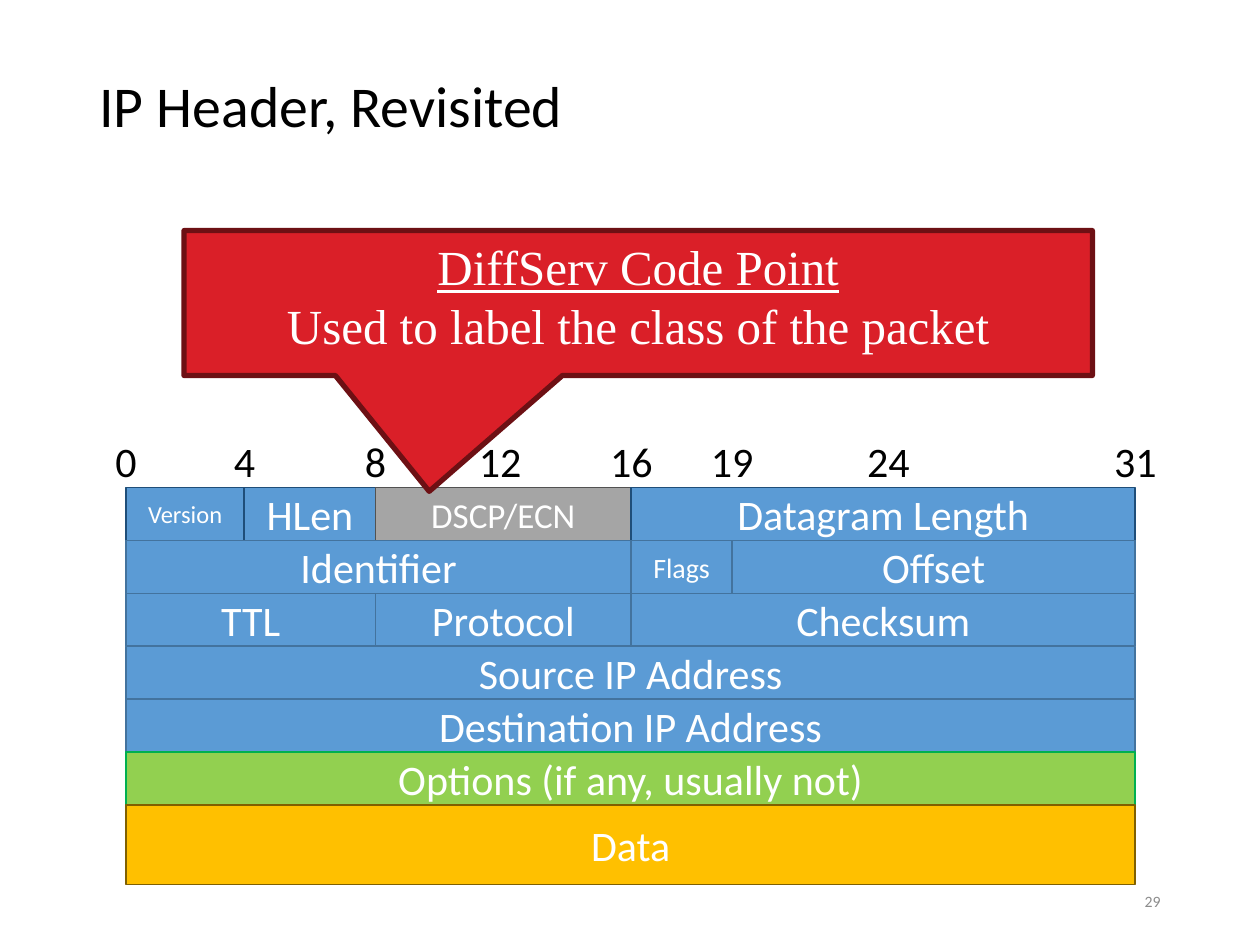
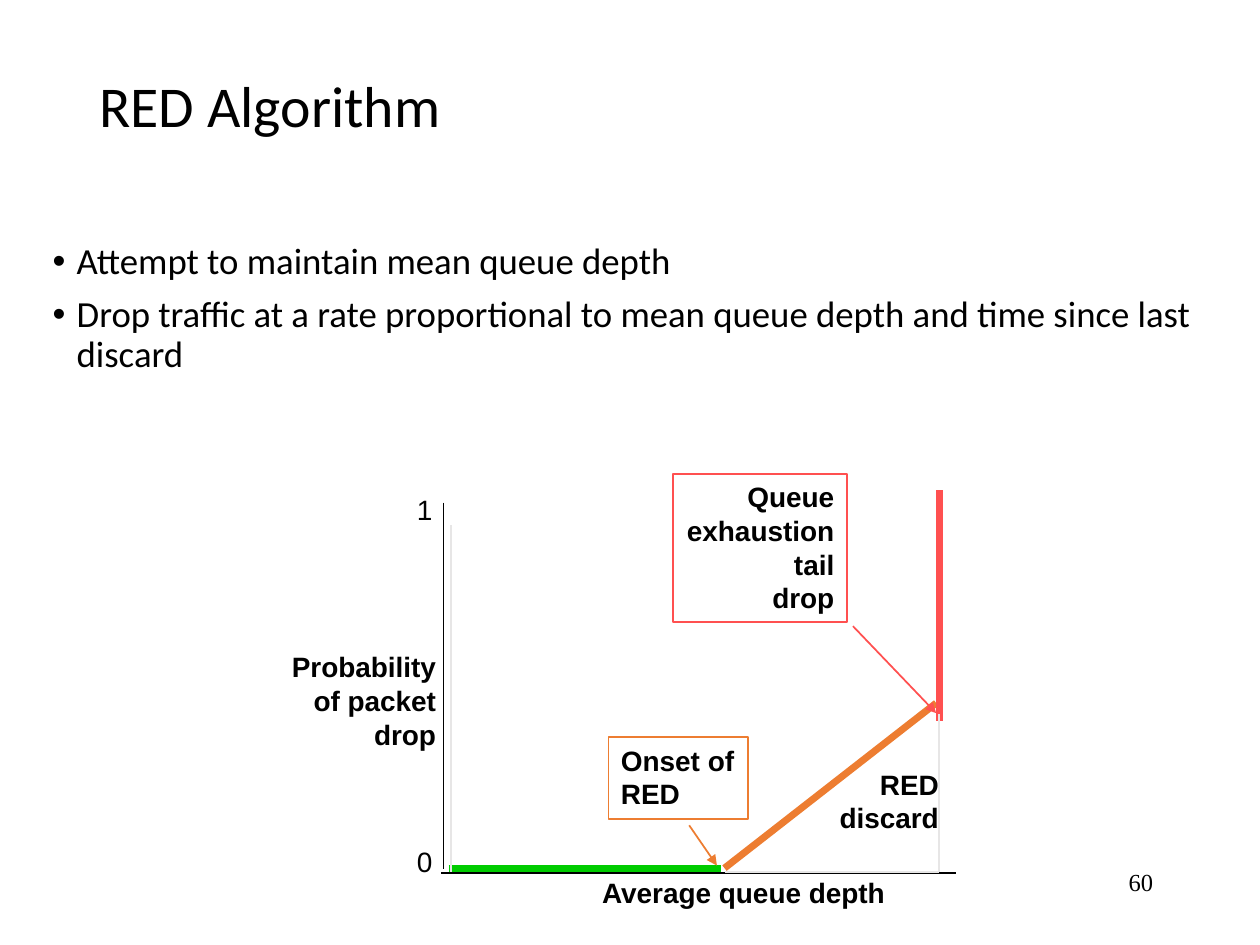
"""Two slides on packet queueing: the IP header and the RED algorithm."""
from lxml import etree
from pptx import Presentation
from pptx import util as u
from pptx.dml.color import RGBColor
from pptx.enum import shapes, text
from pptx.oxml import ns

BLACK, WHITE = RGBColor(0, 0, 0), RGBColor(255, 255, 255)
FOOTER_GREY, GUIDE_GREY = RGBColor(0x8C, 0x8C, 0x8C), RGBColor(0xE7, 0xE6, 0xE6)
BLUE, DEEP_BLUE, MID_BLUE = (RGBColor(0x5B, 0x9B, 0xD5), RGBColor(0x1F, 0x4E, 0x79),
                             RGBColor(0x43, 0x73, 0x9E))
GREY, DARK_GREY = RGBColor(0xA5, 0xA5, 0xA5), RGBColor(0x52, 0x52, 0x52)
LIME, GREEN = RGBColor(0x92, 0xD0, 0x50), RGBColor(0, 0xB0, 0x50)
GOLD, BROWN = RGBColor(0xFF, 0xC0, 0), RGBColor(0x80, 0x60, 0)
CRIMSON, MAROON = RGBColor(0xDA, 0x1F, 0x28), RGBColor(0x6D, 0x10, 0x14)
ORANGE, CORAL, FLAT_GREEN = (RGBColor(0xED, 0x7D, 0x31), RGBColor(0xFF, 0x50, 0x50),
                             RGBColor(0, 0xCC, 0))

COLS, ROWS = 100, 75
CELL = u.Inches(10) // COLS
LEFT, CENTER, RIGHT = text.PP_ALIGN.LEFT, text.PP_ALIGN.CENTER, text.PP_ALIGN.RIGHT
TOP, MIDDLE = text.MSO_ANCHOR.TOP, text.MSO_ANCHOR.MIDDLE
RECT = shapes.MSO_SHAPE.RECTANGLE

TITLE = dict(name="Calibri", size=u.Pt(33))
BODY = dict(name="Calibri", size=u.Pt(21))
FIELD = dict(name="Calibri", size=u.Pt(24))
CALLOUT = dict(name="Times New Roman", size=u.Pt(28))
TICK = dict(name="Arial", size=u.Pt(16))
LABEL = dict(TICK, bold=True)

TITLE_BOX = (6.9, 4, 86.2, 9.3)


def grid(*cells):
    """Turn grid cells into lengths."""
    return [u.Emu(round(c * CELL)) for c in cells]


def write(sp, lines, font, color=BLACK, align=LEFT, anchor=TOP, wrap=True, **para):
    """Fill a shape with paragraphs in one format."""
    tf = sp.text_frame
    for key, value in dict(word_wrap=wrap, vertical_anchor=anchor).items():
        setattr(tf, key, value)
    if not wrap:
        tf.auto_size = text.MSO_AUTO_SIZE.SHAPE_TO_FIT_TEXT
    for i, line in enumerate(lines):
        p = tf.add_paragraph() if i else tf.paragraphs[0]
        for key, value in dict(para, alignment=align).items():
            setattr(p, key, value)
        r = p.add_run()
        r.text = line
        for key, value in font.items():
            setattr(r.font, key, value)
        r.font.color.rgb = color
    return tf


def textbox(s, box, lines, font, **form):
    """Add a text box at a grid box."""
    return write(s.shapes.add_textbox(*grid(*box)), lines, font, **form)


def block(s, box, fill, line, weight=1, kind=RECT):
    """Add a preset shape; no fill colour leaves it open."""
    sp = s.shapes.add_shape(kind, *grid(*box))
    sp.shadow.inherit = False
    if fill is None:
        sp.fill.background()
    else:
        sp.fill.solid()
        sp.fill.fore_color.rgb = fill
    sp.line.color.rgb = line
    sp.line.width = u.Pt(weight)
    return sp


def segment(s, ends, color, weight=1, arrow=False):
    """Add a straight line, with an arrowhead on request."""
    cn = s.shapes.add_connector(shapes.MSO_CONNECTOR.STRAIGHT, *grid(*ends))
    cn.line.color.rgb = color
    cn.line.width = u.Pt(weight)
    if arrow:
        etree.SubElement(cn.line._get_or_add_ln(), ns.qn("a:tailEnd"), type="triangle")
    etree.SubElement(cn._element.spPr, ns.qn("a:effectLst"))


def new_slide(prs, title):
    """Add a blank slide with the shared title."""
    s = prs.slides.add_slide(prs.slide_layouts[6])
    textbox(s, TITLE_BOX, [title], TITLE, anchor=MIDDLE, line_spacing=0.9)
    return s


def page_number(s, box, number, name, size, **form):
    """Place the page number at the right of its box."""
    textbox(s, box, [number], dict(name=name, size=u.Pt(size)), align=RIGHT, **form)


def header_diagram(s, box):
    """Draw the header fields row by row under a ruler of bit positions."""
    x, y, w, row = box
    edge = {0: 0, 4: 9.4, 8: 19.8, 12: 29.7, 16: 40.1, 19: 48.1, 24: 60.5, 31: w}
    for bit, dx in edge.items():
        textbox(s, (x + dx - 3.25, y - 5.4, 6.5, 6.6), [str(bit)], FIELD,
                align=CENTER, anchor=MIDDLE)
    first, plain = (BLUE, DEEP_BLUE), (BLUE, MID_BLUE)
    rows = [
        [(0, 4, "Version", 14, first), (4, 8, "HLen", 24, first),
         (8, 16, "DSCP/ECN", 20, (GREY, DARK_GREY)), (16, 31, "Datagram Length", 24, first)],
        [(0, 16, "Identifier", 24, plain), (16, 19, "Flags", 16, plain),
         (19, 31, "Offset", 24, plain)],
        [(0, 8, "TTL", 24, plain), (8, 16, "Protocol", 24, plain),
         (16, 31, "Checksum", 24, plain)],
        [(0, 31, "Source IP Address", 24, plain)],
        [(0, 31, "Destination IP Address", 24, plain)],
        [(0, 31, "Options (if any, usually not)", 24, (LIME, GREEN))],
        [(0, 31, "Data", 24, (GOLD, BROWN))],
    ]
    for i, fields in enumerate(rows):
        height = row * 1.5 if i == len(rows) - 1 else row
        for start, end, name, size, colors in fields:
            sp = block(s, (x + edge[start], y + i * row, edge[end] - edge[start], height),
                       *colors)
            write(sp, [name], dict(FIELD, size=u.Pt(size)), WHITE, CENTER, MIDDLE)


def code_point_callout(s, box):
    """Draw the callout that points at the DSCP field."""
    sp = block(s, box, CRIMSON, MAROON, 3, shapes.MSO_SHAPE.RECTANGULAR_CALLOUT)
    sp.adjustments[0], sp.adjustments[1] = -0.23, 1.3
    tf = write(sp, ["DiffServ Code Point", "Used to label the class of the packet"],
               CALLOUT, WHITE, CENTER)
    tf.paragraphs[0].runs[0].font.underline = True


def bullets(s, box, lines):
    """Write a bulleted list with a hanging indent."""
    tf = textbox(s, box, lines, BODY, line_spacing=0.9)
    for i, p in enumerate(tf.paragraphs):
        pPr = p._p.get_or_add_pPr()
        indent = u.Inches(0.19)
        pPr.set("marL", str(indent))
        pPr.set("indent", str(-indent))
        if i:
            p.space_before = u.Pt(7.5)
        etree.SubElement(pPr, ns.qn("a:buFont"), typeface="Arial")
        etree.SubElement(pPr, ns.qn("a:buChar"), char="•")


def drop_plot(s, box):
    """Draw drop probability against average queue depth."""
    x, y, w, h = box
    onset, full = 22.5, 39.5

    def line(x1, y1, x2, y2, *style):
        segment(s, (x + x1, y + y1, x + x2, y + y2), *style)

    def label(dx, dy, width, height, lines, font=LABEL, align=LEFT, frame=None):
        place = (x + dx, y + dy, width, height)
        sp = block(s, place, None, frame) if frame else s.shapes.add_textbox(*grid(*place))
        write(sp, lines, font, align=align, wrap=False)

    line(0.2, 2.3, 0.2, h - 0.3, BLACK)
    line(0, h, w, h, BLACK)
    line(onset, h - 0.4, full - 0.2, 18.2, ORANGE, 4)
    line(full + 0.1, 19.6, full + 0.1, 1.3, CORAL, 4)
    line(0.6, h - 0.4, onset - 0.3, h - 0.4, FLAT_GREEN, 4)
    label(-12.9, 13.5, 13.5, 9, ["Probability", "of packet", "drop"], align=RIGHT)
    for tick, dy in (("1", 1), ("0", 28.9)):
        label(-2.9, dy, 3.2, 3.6, [tick], TICK)
    label(13.3, 20.9, 11.1, 6.5, ["Onset of", "RED"], frame=ORANGE)
    label(18.4, 0, 13.8, 11.8, ["Queue", "exhaustion", "tail", "drop"],
          align=RIGHT, frame=CORAL)
    line(32.7, 12.1, full - 0.2, 19, CORAL, 1, True)
    line(19.7, 27.9, onset - 0.6, h - 0.6, ORANGE, 1, True)
    label(11.8, h - 0.3, 24.5, 3.6, ["Average queue depth"])
    label(30.6, 22.8, 9.9, 6.3, ["RED", "discard"], align=RIGHT)
    base = h - 0.1
    for ends in ((0.8, base, 0.8, 4.1), (onset, base, full, base), (full, 19.1, full, base)):
        line(*ends, GUIDE_GREY)


def header_slide(prs):
    """Build the slide on the IP header."""
    s = new_slide(prs, "IP Header, Revisited")
    page_number(s, (70.6, 69.5, 22.5, 4), "29", "Calibri", 9,
                color=FOOTER_GREY, anchor=MIDDLE)
    header_diagram(s, (10, 38.7, 80.1, 4.2))
    code_point_callout(s, (14.6, 18.3, 72.1, 11.5))


def red_slide(prs):
    """Build the slide on the RED algorithm."""
    s = new_slide(prs, "RED Algorithm")
    page_number(s, (71.7, 68.3, 20.8, 5), "60", "Times New Roman", 14)
    bullets(s, (3.2, 18.8, 92.5, 45), [
        "Attempt to maintain mean queue depth",
        "Drop traffic at a rate proportional to mean queue depth and time since last discard"])
    drop_plot(s, (35, 37.6, 40.9, 31.7))


def main():
    """Build and save the slides."""
    prs = Presentation()
    prs.slide_width, prs.slide_height = grid(COLS, ROWS)
    header_slide(prs)
    red_slide(prs)
    prs.save("out.pptx")


if __name__ == "__main__":
    main()
